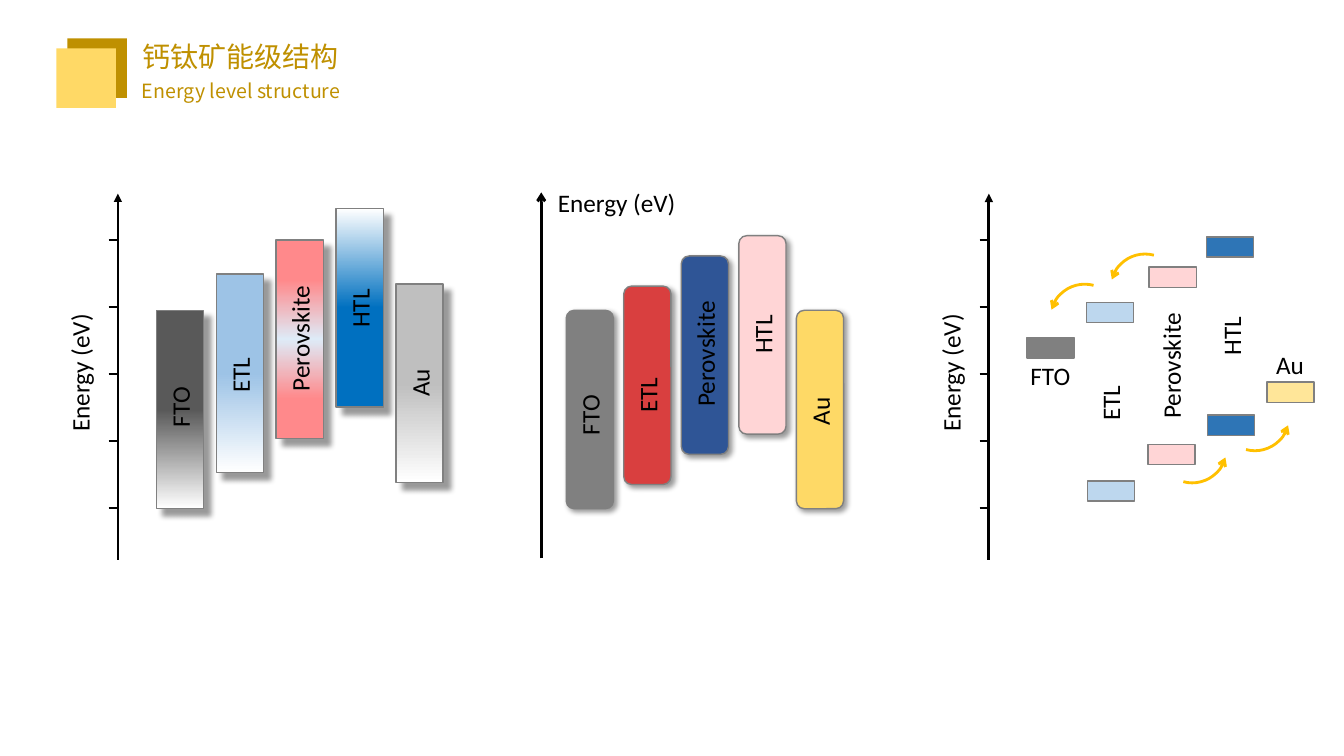
from lxml.etree import SubElement
from pptx import Presentation
from pptx.dml.color import RGBColor
from pptx.enum.shapes import MSO_CONNECTOR, MSO_SHAPE
from pptx.enum.text import MSO_ANCHOR, MSO_AUTO_SIZE, PP_ALIGN
from pptx.oxml.ns import qn
from pptx.util import Cm, Pt

RECT, ROUND, ARC = MSO_SHAPE.RECTANGLE, MSO_SHAPE.ROUNDED_RECTANGLE, MSO_SHAPE.ARC
LINE = MSO_CONNECTOR.STRAIGHT
TOP, LEFT, CENTER = MSO_ANCHOR.TOP, PP_ALIGN.LEFT, PP_ALIGN.CENTER
FIXED = MSO_AUTO_SIZE.NONE

BLACK = RGBColor(0x00, 0x00, 0x00)
WHITE = RGBColor(0xFF, 0xFF, 0xFF)
GRAY = RGBColor(0x80, 0x80, 0x80)
COAL = RGBColor(0x59, 0x59, 0x59)
SILVER = RGBColor(0xBF, 0xBF, 0xBF)
SKY = RGBColor(0x9D, 0xC3, 0xE6)
ICE = RGBColor(0xDE, 0xEB, 0xF7)
PALE = RGBColor(0xBD, 0xD7, 0xEE)
AZURE = RGBColor(0x00, 0x70, 0xC0)
STEEL = RGBColor(0x2E, 0x75, 0xB6)
NAVY = RGBColor(0x2F, 0x55, 0x96)
CORAL = RGBColor(0xFF, 0x89, 0x8B)
RED = RGBColor(0xD9, 0x3F, 0x3F)
PINK = RGBColor(0xFF, 0xD5, 0xD6)
SAND = RGBColor(0xFE, 0xD9, 0x66)
CREAM = RGBColor(0xFF, 0xE6, 0x99)
AMBER = RGBColor(0xFF, 0xC0, 0x00)
GOLD = RGBColor(0xBF, 0x90, 0x00)
YELLOW = RGBColor(0xFF, 0xD9, 0x66)

DOWN, UP = 270, 90
BAR_W, BAR_H, CHIP_H, ARC_D = 1.19, 5.0, 0.51, 1.73
WIDTHS = {"Energy (eV)": 3.5, "Perovskite": 3.2, "ETL": 1.4,
          "HTL": 1.5, "FTO": 1.52, "Au": 1.22}

FADED = [
    ("FTO", 7.82, 10.26, (DOWN, [(50, COAL), (100, WHITE)])),
    ("ETL", 6.91, 9.45, (DOWN, [(50, SKY), (100, WHITE)])),
    ("Perovskite", 6.05, 8.53, (DOWN, [(20, CORAL), (50, ICE), (80, CORAL)])),
    ("HTL", 5.26, 7.77, (UP, [(50, AZURE), (100, WHITE)])),
    ("Au", 7.16, 9.65, (DOWN, [(50, SILVER), (100, WHITE)])),
]
SOLID = [
    ("FTO", 7.82, 10.46, GRAY),
    ("ETL", 7.21, 9.96, RED),
    ("Perovskite", 6.45, 8.92, NAVY),
    ("HTL", 5.94, 8.43, PINK),
    ("Au", 7.82, 10.36, SAND),
]
CHIPS = [
    (25.88, 8.51, GRAY), (27.38, 7.62, PALE), (27.41, 12.12, PALE),
    (28.96, 6.73, PINK), (28.93, 11.2, PINK), (30.4, 5.97, STEEL),
    (30.43, 10.46, STEEL), (31.93, 9.63, CREAM),
]
NAMES = [
    ("Perovskite", 29.51, 9.22, 270), ("ETL", 27.98, 10.16, 270),
    ("HTL", 31.03, 8.46, 270), ("FTO", 26.47, 9.47, 0), ("Au", 32.51, 9.19, 0),
]
HOPS = [(26.47, 7.16, False), (27.99, 6.4, False),
        (29.18, 10.44, True), (30.76, 9.63, True)]


def put(item, **vals):
    """Set each given format value on the item."""
    for name, val in vals.items():
        setattr(item, name, val)


def node(root, tag, **vals):
    """Add an XML child with the given attributes."""
    return SubElement(root, qn(tag), {key: str(val) for key, val in vals.items()})


def tip(shape, end, kind):
    """Add an arrowhead to one end of a line."""
    node(shape.element.spPr.find(qn("a:ln")), end, type=kind)


def paint(shape, look):
    """Fill with a colour, or with a gradient given as angle and stops."""
    if isinstance(look, RGBColor):
        shape.fill.solid()
        shape.fill.fore_color.rgb = look
        return
    angle, stops = look
    shape.fill.gradient()
    shape.fill.gradient_angle = angle
    root = shape.element.spPr.find(".//" + qn("a:gsLst"))
    root.clear()
    for spot, tone in stops:
        node(node(root, "a:gs", pos=spot * 1000), "a:srgbClr", val=tone)


def block(shapes, kind, x, y, w, h, look, edge=GRAY):
    """Draw a filled shape without a shadow."""
    shape = shapes.add_shape(kind, Cm(x), Cm(y), Cm(w), Cm(h))
    paint(shape, look)
    if edge:
        shape.line.color.rgb = edge
        shape.line.width = Pt(1)
    else:
        shape.line.fill.background()
    shape.shadow.inherit = False
    return shape


def shade(shape, dist):
    """Cast a soft shadow to the lower right."""
    root = shape.element.spPr.find(qn("a:effectLst"))
    cast = node(root, "a:outerShdw", blurRad=Pt(4), dist=Pt(dist),
                dir=2700000, algn="tl", rotWithShape=0)
    node(node(cast, "a:srgbClr", val=BLACK), "a:alpha", val=40000)


def label(shapes, text, x, y, turn=270):
    """Write a label centred on a point."""
    w, h = WIDTHS[text], 1.02
    box = shapes.add_textbox(Cm(x - w / 2), Cm(y - h / 2), Cm(w), Cm(h))
    box.rotation = turn
    put(box.text_frame, text=text, word_wrap=False)
    para = box.text_frame.paragraphs[0]
    para.alignment = CENTER
    put(para.font, size=Pt(18), name="Calibri")
    para.font.color.rgb = BLACK


def stroke(shapes, x1, y1, x2, y2, width=1.5):
    """Draw a black straight line."""
    line = shapes.add_connector(LINE, Cm(x1), Cm(y1), Cm(x2), Cm(y2))
    line.line.color.rgb = BLACK
    line.line.width = Pt(width)
    node(line.element.spPr, "a:effectLst")
    return line


def scale(shapes, x, width):
    """Draw an energy axis with its ticks and upright label."""
    tip(stroke(shapes, x, 14.1, x, 4.88, width), "a:tailEnd", "triangle")
    for i in range(5):
        y = 6.05 + 1.69 * i
        stroke(shapes, x - 0.23, y, x - 0.02, y)
    label(shapes, "Energy (eV)", x - 0.96, 9.4)


def bars(shapes, kind, rows, x, step, dist):
    """Draw a row of level bars with upright labels."""
    for i, (text, y, mid, look) in enumerate(rows):
        left = x + step * i
        shade(block(shapes, kind, left, y, BAR_W, BAR_H, look), dist)
        label(shapes, text, left + BAR_W / 2, mid)


def hop(shapes, x, y, flip):
    """Draw a curved arrow between two levels."""
    arc = shapes.add_shape(ARC, Cm(x), Cm(y), Cm(ARC_D), Cm(ARC_D))
    arc.rotation = 285
    arc.fill.background()
    arc.line.color.rgb = AMBER
    arc.line.width = Pt(2)
    arc.shadow.inherit = False
    tip(arc, "a:headEnd", "arrow")
    if flip:
        put(arc.element.spPr.xfrm, flipH=True, flipV=True)


def head(holder, text, area, size, font):
    """Place and format a heading placeholder."""
    x, y, w, h = area
    put(holder, left=Cm(x), top=Cm(y), width=Cm(w), height=Cm(h))
    put(holder.text_frame, text=text, word_wrap=True, auto_size=FIXED,
        vertical_anchor=TOP)
    para = holder.text_frame.paragraphs[0]
    put(para, alignment=LEFT, space_before=Pt(0))
    put(para.font, size=Pt(size), name=font)
    para.font.color.rgb = GOLD


def main():
    """Build the slide and save it."""
    deck = Presentation()
    put(deck, slide_width=Cm(33.87), slide_height=Cm(19.05))
    slide = deck.slides.add_slide(deck.slide_layouts[0])
    title, sub = slide.placeholders
    faded, solid, steps = [slide.shapes.add_group_shape().shapes for _ in range(3)]

    bars(faded, RECT, FADED, 3.94, 1.51, 7)
    scale(faded, 2.97, 1.5)

    bars(solid, ROUND, SOLID, 14.27, 1.45, 3)
    tip(stroke(solid, 13.64, 14.07, 13.64, 4.85, 2), "a:tailEnd", "arrow")
    label(solid, "Energy (eV)", 15.54, 5.11, 0)

    scale(steps, 24.92, 2)
    for x, y, tone in CHIPS:
        block(steps, RECT, x, y, BAR_W, CHIP_H, tone)
    for name in NAMES:
        label(steps, *name)
    for spot in HOPS:
        hop(steps, *spot)

    block(slide.shapes, RECT, 1.7, 0.97, 1.5, 1.5, GOLD, None)
    block(slide.shapes, RECT, 1.42, 1.22, 1.5, 1.5, YELLOW, None)
    head(title, "钙钛矿能级结构", (3.33, 0.86, 9.65, 1.12), 20, "Arial")
    head(sub, "Energy level structure", (3.32, 1.85, 6.55, 0.86), 14,
         "Noto Sans CJK SC")
    deck.save("out.pptx")


if __name__ == "__main__":
    main()
